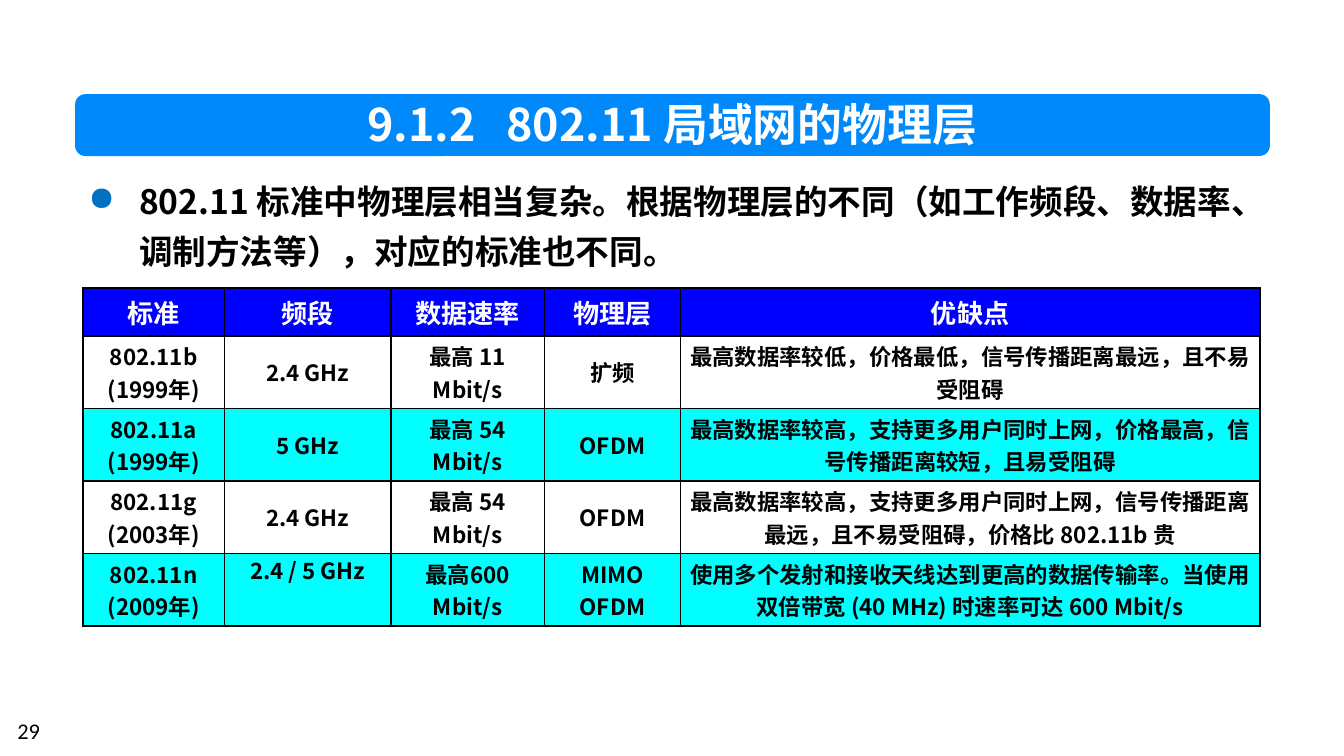
from dataclasses import dataclass

from lxml.etree import SubElement
from pptx import Presentation
from pptx.dml.color import RGBColor
from pptx.enum.shapes import MSO_SHAPE as Shape
from pptx.enum.text import MSO_ANCHOR as Anchor, PP_ALIGN as Align
from pptx.oxml.ns import qn
from pptx.util import Cm, Pt


@dataclass(frozen=True)
class Theme:
    heading_font: str = "Noto Sans CJK SC"
    number_font: str = "Calibri"
    white: str = "FFFFFF"
    black: str = "000000"
    bar: str = "0089FA"
    bullet: str = "0070C0"
    header: str = "0000FF"
    band: str = "00FFFF"
    title_size: int = 24
    body_size: int = 18
    header_size: int = 14
    small_size: int = 12


class SlideBuilder:
    def __init__(self, slide, theme):
        self.slide = slide
        self.theme = theme

    def format_text(self, text_frame, size, color, font=None, bold=True, align=Align.LEFT):
        font = font or self.theme.heading_font
        for paragraph in text_frame.paragraphs:
            paragraph.alignment = align
            for run in paragraph.runs:
                run.font.size = Pt(size)
                run.font.bold = bold
                run.font.name = font
                run.font.color.rgb = RGBColor.from_string(color)
                SubElement(run.font._element, qn("a:ea"), typeface=font)

    def bar(self, left, top, width, height):
        shape = self.slide.shapes.add_shape(
            Shape.ROUNDED_RECTANGLE, Cm(left), Cm(top), Cm(width), Cm(height))
        shape.shadow.inherit = False
        shape.fill.solid()
        shape.fill.fore_color.rgb = RGBColor.from_string(self.theme.bar)
        shape.line.fill.background()

    def text(self, text, left, top, width, height, size, color,
             wrap=True, anchor=Anchor.TOP, **style):
        shape = self.slide.shapes.add_textbox(Cm(left), Cm(top), Cm(width), Cm(height))
        text_frame = shape.text_frame
        text_frame.word_wrap = wrap
        text_frame.vertical_anchor = anchor
        text_frame.text = text
        self.format_text(text_frame, size, color, **style)
        return text_frame.paragraphs[0]

    def bullet(self, paragraph, indent, spacing):
        paragraph.line_spacing = Pt(spacing)
        properties = paragraph._p.get_or_add_pPr()
        properties.set("marL", str(Cm(indent)))
        properties.set("indent", str(-Cm(indent)))
        color = SubElement(properties, qn("a:buClr"))
        SubElement(color, qn("a:srgbClr"), val=self.theme.bullet)
        SubElement(properties, qn("a:buChar"), char="●")

    def cell_borders(self, cell):
        properties = cell._tc.get_or_add_tcPr()
        for position, side in enumerate(("lnL", "lnR", "lnT", "lnB")):
            line = properties.makeelement(qn(f"a:{side}"), {"w": str(Pt(1))})
            fill = SubElement(line, qn("a:solidFill"))
            SubElement(fill, qn("a:srgbClr"), val=self.theme.black)
            properties.insert(position, line)

    def table(self, rows, left, top, widths, heights):
        theme = self.theme
        frame = self.slide.shapes.add_table(
            len(rows), len(widths), Cm(left), Cm(top), Cm(sum(widths)), Cm(sum(heights)))
        table = frame.table
        for column, width in zip(table.columns, widths):
            column.width = Cm(width)
        for row, height in zip(table.rows, heights):
            row.height = Cm(height)
        for row_index, values in enumerate(rows):
            if row_index == 0:
                fill, color, size = theme.header, theme.white, theme.header_size
            else:
                fill = theme.white if row_index % 2 else theme.band
                color, size = theme.black, theme.small_size
            for column_index, value in enumerate(values):
                cell = table.cell(row_index, column_index)
                cell.margin_left = cell.margin_right = Cm(0.13)
                cell.margin_top = cell.margin_bottom = 0
                cell.vertical_anchor = Anchor.MIDDLE
                cell.fill.solid()
                cell.fill.fore_color.rgb = RGBColor.from_string(fill)
                cell.text_frame.text = value
                self.format_text(cell.text_frame, size, color, align=Align.CENTER)
                self.cell_borders(cell)
        return table


def main():
    presentation = Presentation()
    presentation.slide_width = Cm(25.4)
    presentation.slide_height = Cm(14.29)
    theme = Theme()
    builder = SlideBuilder(
        presentation.slides.add_slide(presentation.slide_layouts[6]), theme)

    builder.bar(1.42, 1.78, 22.58, 1.17)
    builder.text("9.1.2   802.11 局域网的物理层", 6.48, 1.7, 12.45, 1.27,
                 theme.title_size, theme.white, wrap=False,
                 anchor=Anchor.MIDDLE, align=Align.CENTER)
    summary = builder.text(
        "802.11 标准中物理层相当复杂。根据物理层的不同（如工作频段、数据率、调制方法等），对应的标准也不同。",
        1.42, 3.1, 22.99, 2.18, theme.body_size, theme.black)
    builder.bullet(summary, indent=0.96, spacing=27)

    standards = [
        ("标准", "频段", "数据速率", "物理层", "优缺点"),
        ("802.11b\n(1999年)", "2.4 GHz", "最高 11 Mbit/s", "扩频",
         "最高数据率较低，价格最低，信号传播距离最远，且不易受阻碍"),
        ("802.11a\n(1999年)", "5 GHz", "最高 54 Mbit/s", "OFDM",
         "最高数据率较高，支持更多用户同时上网，价格最高，信号传播距离较短，且易受阻碍"),
        ("802.11g\n(2003年)", "2.4 GHz", "最高 54 Mbit/s", "OFDM",
         "最高数据率较高，支持更多用户同时上网，信号传播距离最远，且不易受阻碍，价格比 802.11b 贵"),
        ("802.11n\n(2009年)", "2.4 / 5 GHz", "最高600 Mbit/s", "MIMO\nOFDM",
         "使用多个发射和接收天线达到更高的数据传输率。当使用双倍带宽 (40 MHz) 时速率可达 600 Mbit/s"),
    ]
    table = builder.table(standards, 1.57, 5.44,
                          widths=[2.67, 3.15, 2.9, 2.57, 10.95],
                          heights=[0.91] + [1.37] * 4)
    table.cell(4, 1).vertical_anchor = Anchor.TOP

    builder.text("29", 0.08, 13.44, 5.92, 0.76, theme.small_size, theme.black,
                 font=theme.number_font, bold=False)
    presentation.save("out.pptx")


if __name__ == "__main__":
    main()
